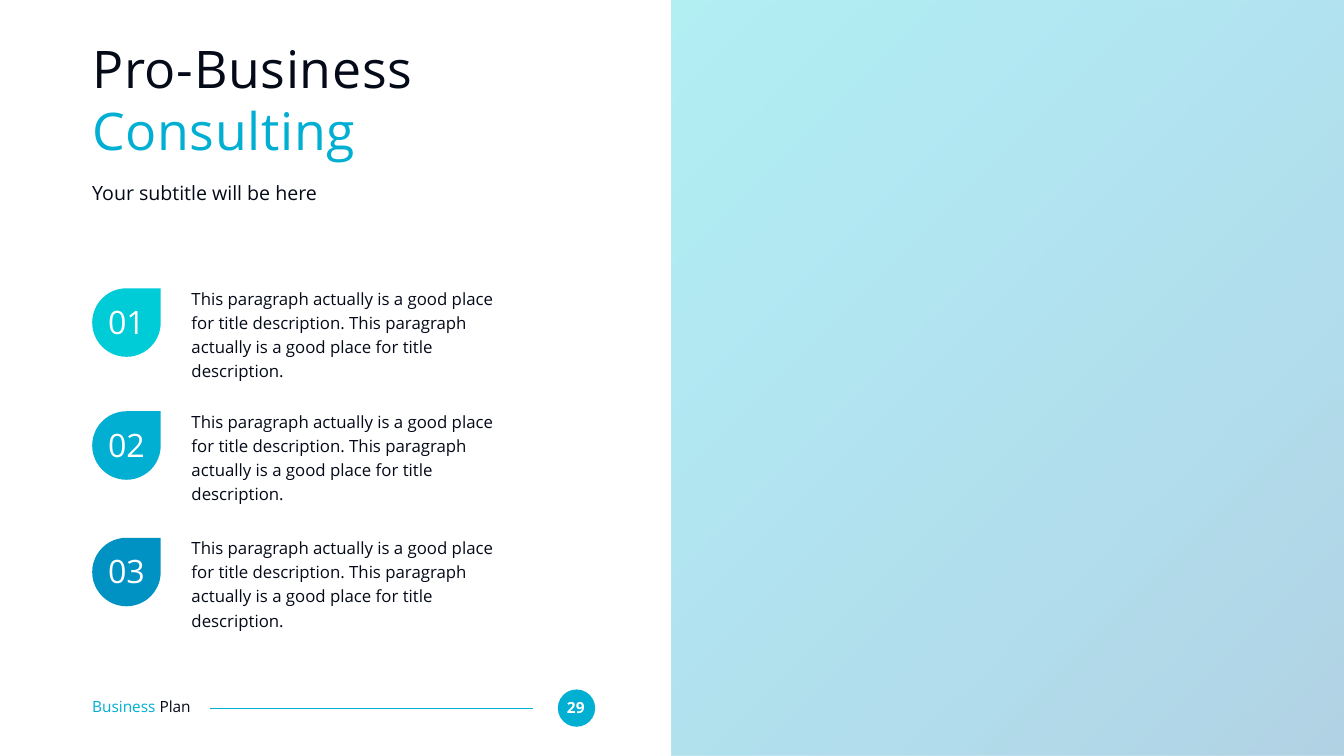
from lxml import etree
from pptx import Presentation
from pptx.dml.color import RGBColor
from pptx.enum.shapes import MSO_CONNECTOR, MSO_SHAPE
from pptx.enum.text import PP_ALIGN
from pptx.oxml import parse_xml
from pptx.oxml.ns import nsdecls, qn
from pptx.util import Inches, Pt

INK = RGBColor(0x05, 0x0A, 0x19)
WHITE = RGBColor(0xFF, 0xFF, 0xFF)
AQUA = RGBColor(0x00, 0xCC, 0xD7)
CYAN = RGBColor(0x00, 0xAF, 0xD2)
BLUE = RGBColor(0x00, 0x92, 0xC3)
NAVY = RGBColor(0x00, 0x6D, 0xA4)
FONT = "Open Sans"

TITLE = [("Pro-Business ", INK), ("Consulting", CYAN)]
SUBTITLE = [("Your subtitle will be here", INK)]
FOOTER = [("Business ", CYAN), ("Plan", INK)]
PAGE = [("29", WHITE)]
BODY = ("This paragraph actually is a good place for title description. "
        "This paragraph actually is a good place for title description.")
ITEMS = [("01", AQUA, 5.72), ("02", CYAN, 8.16), ("03", BLUE, 10.67)]
STOPS = [(0, AQUA), (33, CYAN), (66, BLUE), (100, NAVY)]

WIDTH, HEIGHT = 26.67, 15
HALF = WIDTH / 2
LEFT = 1.83
DROP = 1.36

deck = Presentation()
deck.slide_width, deck.slide_height = Inches(WIDTH), Inches(HEIGHT)
slide = deck.slides.add_slide(deck.slide_layouts[6])


def add_text(box, runs, size, align=PP_ALIGN.LEFT, spacing=None, bold=False):
    frame = slide.shapes.add_textbox(*map(Inches, box)).text_frame
    frame.word_wrap = True
    frame.margin_left = frame.margin_right = 0
    frame.margin_top = frame.margin_bottom = 0
    para = frame.paragraphs[0]
    para.alignment = align
    if spacing:
        para.line_spacing = spacing
    for text, color in runs:
        run = para.add_run()
        run.text = text
        run.font.name = FONT
        run.font.size = Pt(size)
        run.font.bold = bold
        run.font.color.rgb = color
    return para


def add_shape(kind, box, color):
    shape = slide.shapes.add_shape(kind, *map(Inches, box))
    shape.shadow.inherit = False
    shape.line.fill.background()
    shape.fill.solid()
    shape.fill.fore_color.rgb = color
    return shape


def set_fade(shape, stops, alpha, angle):
    """Fill the shape with a see-through linear gradient."""
    marks = "".join(
        f'<a:gs pos="{pos * 1000}"><a:srgbClr val="{color}">'
        f'<a:alpha val="{alpha * 1000}"/></a:srgbClr></a:gs>'
        for pos, color in stops)
    fade = parse_xml(
        f'<a:gradFill {nsdecls("a")} rotWithShape="1"><a:gsLst>{marks}</a:gsLst>'
        f'<a:lin ang="{angle * 60000}" scaled="0"/></a:gradFill>')
    props = shape.fill._xPr
    props.replace(props.find(qn("a:solidFill")), fade)


# Footer
add_shape(MSO_SHAPE.OVAL, (11.07, 13.68, 0.74, 0.74), CYAN)
add_text((11.13, 13.85, 0.59, 0.37), PAGE, 22, PP_ALIGN.CENTER, bold=True)
rule = slide.shapes.add_connector(
    MSO_CONNECTOR.STRAIGHT, *map(Inches, (10.57, 14.05, 4.16, 14.05)))
rule.line.color.rgb = CYAN
rule.line.width = Pt(1.5)
etree.SubElement(rule._element.spPr, qn("a:effectLst"))
add_text((LEFT, 13.84, 2.59, 0.37), FOOTER, 22)

# Right half
panel = add_shape(MSO_SHAPE.RECTANGLE, (HALF, 0, HALF, HEIGHT), AQUA)
set_fade(panel, STOPS, alpha=30, angle=45)

# Heading
title = add_text((LEFT, 0.73, 9.9, 2.52), TITLE, 74)
for run in title.runs:
    run.font._element.set("spc", "100")
add_text((LEFT, 3.59, 9.9, 0.49), SUBTITLE, 28)

# Numbered points
for number, color, top in ITEMS:
    add_text((3.8, top - 0.08, 6.28, 1.42), [(BODY, INK)], 24, spacing=1.2)
    add_shape(MSO_SHAPE.TEAR, (LEFT, top, DROP, DROP), color)
    add_text((LEFT + 0.13, top + 0.27, DROP - 0.26, 0.77),
             [(number, WHITE)], 46, PP_ALIGN.CENTER)

deck.save("out.pptx")
